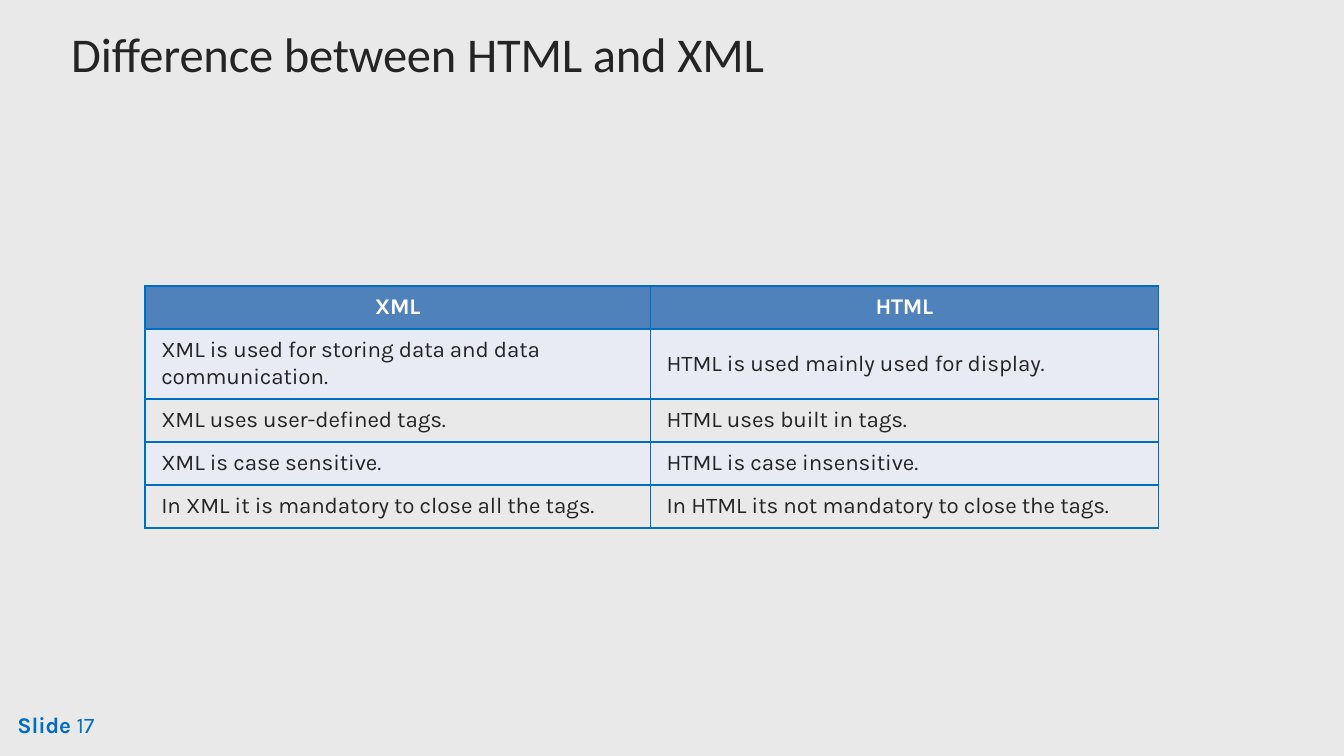
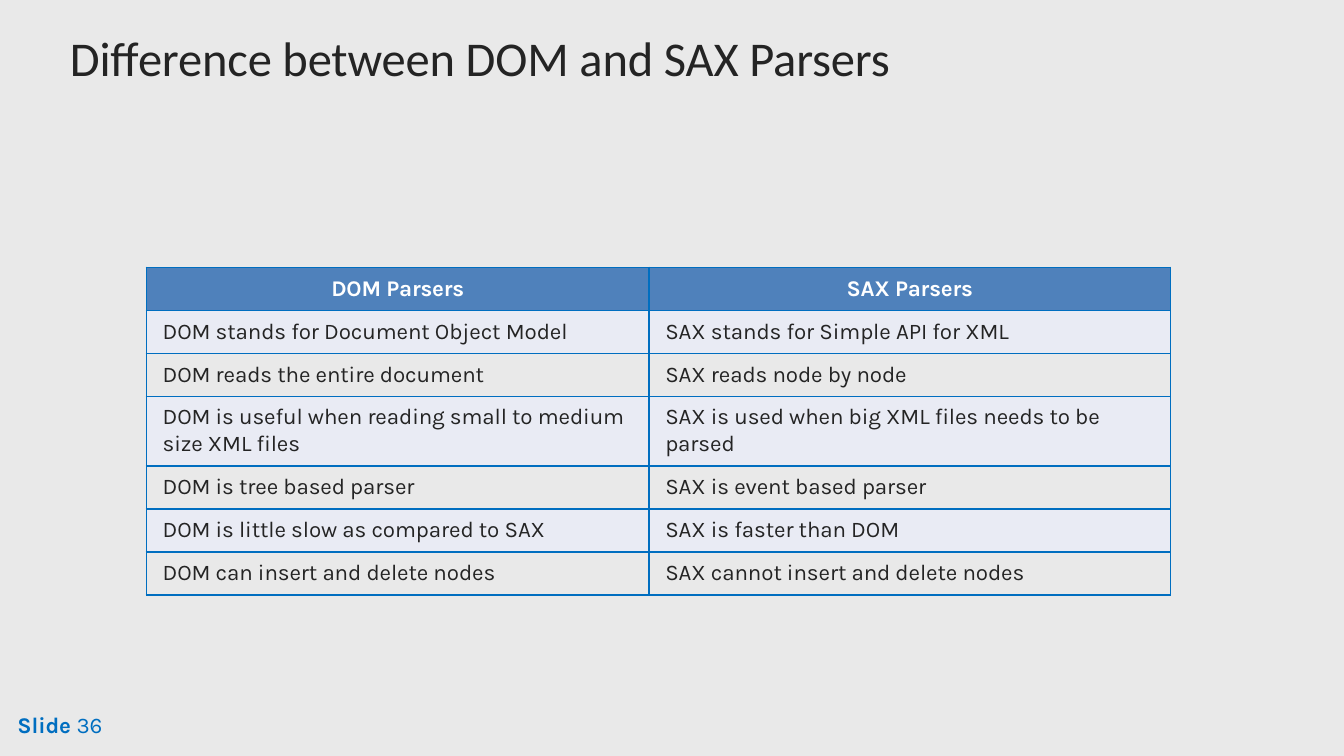
from dataclasses import dataclass

from lxml import etree
from pptx import Presentation
from pptx.dml.color import RGBColor
from pptx.enum.text import MSO_AUTO_SIZE, PP_ALIGN
from pptx.oxml.ns import qn
from pptx.util import Pt

PX = 914400 // 200
SLIDE_WIDTH, SLIDE_HEIGHT = 2000, 1125
BLANK_LAYOUT = 6
CENTER, LEFT = PP_ALIGN.CENTER, PP_ALIGN.LEFT
GROW = MSO_AUTO_SIZE.SHAPE_TO_FIT_TEXT

PAPER = RGBColor(0xE9, 0xE9, 0xE9)
INK = RGBColor(0x24, 0x24, 0x24)
ACCENT = RGBColor(0x00, 0x6E, 0xC0)
HEADER_FILL = RGBColor(0x4F, 0x81, 0xBB)
BAND_FILL = RGBColor(0xE9, 0xEB, 0xF4)
WHITE = RGBColor(0xFF, 0xFF, 0xFF)

ROW_HEIGHT, EXTRA_LINE = 64, 40
CELL_TOP, CELL_INDENT = 12, 24
BORDER_SIDES = ("a:lnL", "a:lnR", "a:lnT", "a:lnB")


@dataclass(frozen=True)
class Box:
    left: int
    top: int
    width: int
    height: int

    def emu(self) -> tuple[int, ...]:
        return tuple(n * PX for n in (self.left, self.top, self.width, self.height))


@dataclass(frozen=True)
class TextStyle:
    font: str
    size: int
    color: RGBColor
    bold: bool = False
    tracking: int = -5


@dataclass(frozen=True)
class Comparison:
    title: str
    title_box: Box
    number: int
    left: int
    top: int
    columns: tuple[int, int]
    rows: tuple[tuple[str, str], ...]


TITLE = TextStyle("Calibri", 26, INK, tracking=-10)
HEADING = TextStyle("Karla", 12, WHITE, True, -10)
BODY = TextStyle("Karla", 12, INK)
FOOTER_LABEL = TextStyle("Karla", 12, ACCENT, True)
FOOTER_NUMBER = TextStyle("Karla", 12, ACCENT)
FOOTER_BOX = Box(24, 1056, 138, 46)

COMPARISONS = (
    Comparison(
        "Difference between HTML and XML", Box(104, 34, 1038, 92), 17,
        216, 426, (752, 756),
        (
            ("XML", "HTML"),
            ("XML is used for storing data and data\ncommunication.",
             "HTML is used mainly used for display."),
            ("XML uses user-defined tags.", "HTML uses built in tags."),
            ("XML is case sensitive.", "HTML is case insensitive."),
            ("In XML it is mandatory to close all the tags.",
             "In HTML its not mandatory to close the tags."),
        ),
    ),
    Comparison(
        "Difference between DOM and SAX Parsers", Box(102, 40, 1230, 92), 36,
        218, 398, (748, 776),
        (
            ("DOM Parsers", "SAX Parsers"),
            ("DOM stands for Document Object Model", "SAX stands for Simple API for XML"),
            ("DOM reads the entire document", "SAX reads node by node"),
            ("DOM is useful when reading small to medium\nsize XML files",
             "SAX is used when big XML files needs to be\nparsed"),
            ("DOM is tree based parser", "SAX is event based parser"),
            ("DOM is little slow as compared to SAX", "SAX is faster than DOM"),
            ("DOM can insert and delete nodes", "SAX cannot insert and delete nodes"),
        ),
    ),
)


def style_run(run, style: TextStyle) -> None:
    run.font.name = style.font
    run.font.size = Pt(style.size)
    run.font.bold = style.bold
    run.font.color.rgb = style.color
    run.font._element.set("spc", str(style.tracking))


def set_indent(paragraph, indent: int) -> None:
    properties = paragraph._p.get_or_add_pPr()
    properties.set("marL", str(indent * PX))
    properties.set("indent", "0")


def add_line(slide, box: Box, text: str, style: TextStyle):
    frame = slide.shapes.add_textbox(*box.emu()).text_frame
    frame.word_wrap = True
    frame.auto_size = GROW
    frame.margin_left = frame.margin_right = frame.margin_bottom = 0
    frame.margin_top = 2 * PX
    frame.text = text
    line = frame.paragraphs[0]
    line.space_before = Pt(1)
    set_indent(line, 2)
    style_run(line.runs[0], style)
    return line


def add_borders(cell) -> None:
    properties = cell._tc.get_or_add_tcPr()
    for position, side in enumerate(BORDER_SIDES):
        border = etree.Element(qn(side), w=str(Pt(1)))
        fill = etree.SubElement(border, qn("a:solidFill"))
        etree.SubElement(fill, qn("a:srgbClr"), val=str(ACCENT))
        properties.insert(position, border)


def fill_cell(cell, text: str, row_index: int, missing_lines: int) -> None:
    is_header = row_index == 0
    cell.margin_left = cell.margin_right = cell.margin_bottom = 0
    cell.margin_top = (CELL_TOP + missing_lines * EXTRA_LINE // 2) * PX
    cell.text_frame.text = text
    for index, paragraph in enumerate(cell.text_frame.paragraphs):
        paragraph.alignment = CENTER if is_header else LEFT
        paragraph.space_before = Pt(0 if index else 4 + 7 * missing_lines)
        set_indent(paragraph, 0 if is_header else CELL_INDENT)
        style_run(paragraph.runs[0], HEADING if is_header else BODY)
    if is_header or row_index % 2:
        cell.fill.solid()
        cell.fill.fore_color.rgb = HEADER_FILL if is_header else BAND_FILL
    else:
        cell.fill.background()
    add_borders(cell)


def add_comparison_table(slide, comparison: Comparison) -> None:
    line_counts = [max(len(text.split("\n")) for text in row) for row in comparison.rows]
    heights = [ROW_HEIGHT + (count - 1) * EXTRA_LINE for count in line_counts]
    area = Box(comparison.left, comparison.top, sum(comparison.columns), sum(heights))
    table = slide.shapes.add_table(
        len(heights), len(comparison.columns), *area.emu()
    ).table
    table.first_row = table.horz_banding = False
    for column, width in zip(table.columns, comparison.columns):
        column.width = width * PX
    for row_index, texts in enumerate(comparison.rows):
        table.rows[row_index].height = heights[row_index] * PX
        for column_index, text in enumerate(texts):
            missing = line_counts[row_index] - len(text.split("\n"))
            fill_cell(table.cell(row_index, column_index), text, row_index, missing)


def add_comparison_slide(deck, comparison: Comparison) -> None:
    slide = deck.slides.add_slide(deck.slide_layouts[BLANK_LAYOUT])
    slide.background.fill.solid()
    slide.background.fill.fore_color.rgb = PAPER
    add_line(slide, comparison.title_box, comparison.title, TITLE)
    add_comparison_table(slide, comparison)
    footer = add_line(slide, FOOTER_BOX, "Slide ", FOOTER_LABEL)
    number = footer.add_run()
    number.text = str(comparison.number)
    style_run(number, FOOTER_NUMBER)


def main() -> None:
    deck = Presentation()
    deck.slide_width = SLIDE_WIDTH * PX
    deck.slide_height = SLIDE_HEIGHT * PX
    for comparison in COMPARISONS:
        add_comparison_slide(deck, comparison)
    deck.save("out.pptx")


if __name__ == "__main__":
    main()
